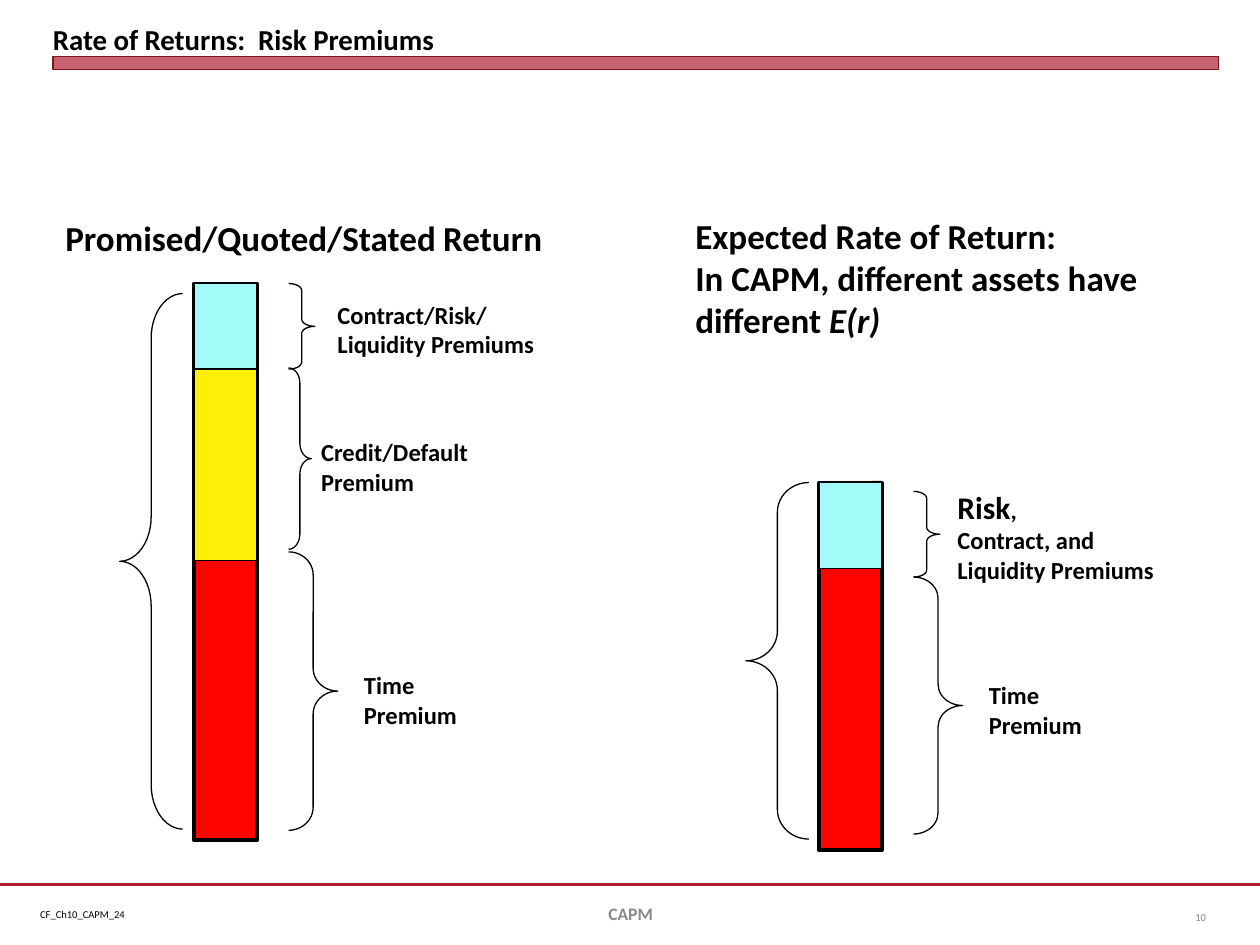
from dataclasses import dataclass

from lxml import etree
from pptx import Presentation
from pptx import util as u
from pptx.dml.color import RGBColor
from pptx.enum import shapes, text
from pptx.oxml import ns

PX = u.Inches(1) // 100


@dataclass(frozen=True)
class Theme:
    font: str = "Calibri"
    black: str = "000000"
    crimson: str = "B01C2E"
    maroon: str = "821522"
    footer_grey: str = "898989"
    number_grey: str = "808080"
    time: str = "FF0502"
    credit: str = "FFEF06"
    risk: str = "A3FBF9"
    tiny: float = 6
    footer: float = 10
    label: float = 14
    emphasis: float = 18
    title: float = 16.5
    heading: float = 20


class SlideBuilder:
    """Draws styled elements on the current slide, measured in hundredths of an inch."""

    def __init__(self, slide, theme):
        self.slide = slide
        self.theme = theme

    def shape(self, kind, box, fill=None, line=None, width=0.75, alpha=None):
        shape = self.slide.shapes.add_shape(kind, *(n * PX for n in box))
        shape.shadow.inherit = False
        if fill:
            shape.fill.solid()
            shape.fill.fore_color.rgb = RGBColor.from_string(fill)
        else:
            shape.fill.background()
        if alpha:
            color = shape.fill._xPr.find(".//" + ns.qn("a:srgbClr"))
            etree.SubElement(color, ns.qn("a:alpha"), val=str(alpha * 1000))
        shape.line.color.rgb = RGBColor.from_string(line or self.theme.black)
        shape.line.width = u.Pt(width)
        return shape

    def bar(self, box, fill, width=0.75):
        self.shape(shapes.MSO_SHAPE.RECTANGLE, box, fill, width=width)

    def brace(self, box, curve, left=False):
        kind = shapes.MSO_SHAPE.LEFT_BRACE if left else shapes.MSO_SHAPE.RIGHT_BRACE
        self.shape(kind, box).adjustments[0] = curve

    def line(self, start, end, width, color=None):
        ends = (n * PX for n in (*start, *end))
        line = self.slide.shapes.add_connector(shapes.MSO_CONNECTOR.STRAIGHT, *ends)
        line.line.color.rgb = RGBColor.from_string(color or self.theme.black)
        line.line.width = u.Pt(width)
        etree.SubElement(line._element.spPr, ns.qn("a:effectLst"))

    def text(self, box, lines, size, color=None, bold=True, align=text.PP_ALIGN.LEFT,
             anchor=text.MSO_ANCHOR.TOP, wrap=True, inset=True):
        frame = self.slide.shapes.add_textbox(*(n * PX for n in box)).text_frame
        frame.word_wrap = wrap
        frame.vertical_anchor = anchor
        if not inset:
            frame.margin_left = frame.margin_right = 0
            frame.margin_top = frame.margin_bottom = 0
        for index, runs in enumerate(lines):
            paragraph = frame.paragraphs[0] if index == 0 else frame.add_paragraph()
            paragraph.alignment = align
            font = paragraph.font
            font.name, font.size, font.bold = self.theme.font, u.Pt(size), bold
            font.color.rgb = RGBColor.from_string(color or self.theme.black)
            for words, style in [(runs, {})] if isinstance(runs, str) else runs:
                run = paragraph.add_run()
                run.text = words
                for name, value in style.items():
                    setattr(run.font, name, value)


def draw_frame(builder, theme):
    middle = text.MSO_ANCHOR.MIDDLE
    builder.line((0, 702), (1000, 702), 1.25, theme.crimson)
    builder.text((22, 716, 88, 20), ["CF_Ch10_CAPM_24"], theme.tiny, bold=False, wrap=False)
    builder.shape(shapes.MSO_SHAPE.RECTANGLE, (42, 45, 925, 10), theme.crimson,
                  theme.maroon, 0, alpha=69)
    builder.text((42, 5, 925, 40), ["Rate of Returns:  Risk Premiums"], theme.title,
                 anchor=text.MSO_ANCHOR.BOTTOM, inset=False)
    builder.text((342, 705, 317, 40), ["CAPM"], theme.footer, theme.footer_grey,
                 align=text.PP_ALIGN.CENTER, anchor=middle)
    builder.text((917, 708, 50, 40), ["10"], theme.tiny, theme.number_grey, bold=False,
                 align=text.PP_ALIGN.RIGHT, anchor=middle)


def draw_promised(builder, theme):
    builder.bar((154, 225, 50, 442), theme.time, 2.25)
    builder.line((154, 442), (204, 442), 2.25)
    builder.line((204, 292), (154, 292), 2)
    builder.bar((154, 292, 50, 153), theme.credit)
    builder.bar((154, 225, 50, 68), theme.risk)
    builder.brace((95, 233, 50, 425), 0.708, left=True)
    builder.brace((229, 225, 21, 68), 0.265)
    builder.brace((229, 292, 18, 144), 0.673)
    builder.brace((229, 438, 39, 221), 0.469)
    heading = [("Promised/Quoted/Stated", {}), (" ", {"size": u.Pt(theme.emphasis)}),
               ("Return", {})]
    builder.text((42, 167, 417, 44), [heading], theme.heading)
    builder.text((258, 233, 192, 57), ["Contract/Risk/", "Liquidity Premiums"], theme.label)
    builder.text((245, 342, 146, 57), ["Credit/Default Premium"], theme.label)
    builder.text((279, 527, 106, 57), ["Time Premium"], theme.label)


def draw_expected(builder, theme):
    builder.bar((650, 383, 50, 292), theme.time, 2.25)
    builder.line((650, 450), (700, 450), 2.25)
    builder.line((700, 383), (650, 384), 2)
    builder.bar((650, 383, 50, 68), theme.risk)
    builder.brace((592, 383, 50, 283), 0.472, left=True)
    builder.brace((725, 390, 21, 68), 0.265)
    builder.brace((725, 458, 39, 204), 0.434)
    builder.text((542, 165, 408, 110), [
        "Expected Rate of Return:",
        [("In CAPM, different assets have different", {}), (" E(r)", {"italic": True})],
    ], theme.heading)
    builder.text((750, 382, 225, 88), [
        [("Risk", {"size": u.Pt(theme.emphasis)}), (",", {})],
        "Contract, and",
        "Liquidity Premiums",
    ], theme.label)
    builder.text((775, 535, 106, 57), ["Time Premium"], theme.label)


def main():
    presentation = Presentation()
    presentation.slide_width, presentation.slide_height = 1000 * PX, 750 * PX
    theme = Theme()
    builder = SlideBuilder(presentation.slides.add_slide(presentation.slide_layouts[6]), theme)
    draw_frame(builder, theme)
    draw_promised(builder, theme)
    draw_expected(builder, theme)
    presentation.save("out.pptx")


if __name__ == "__main__":
    main()
